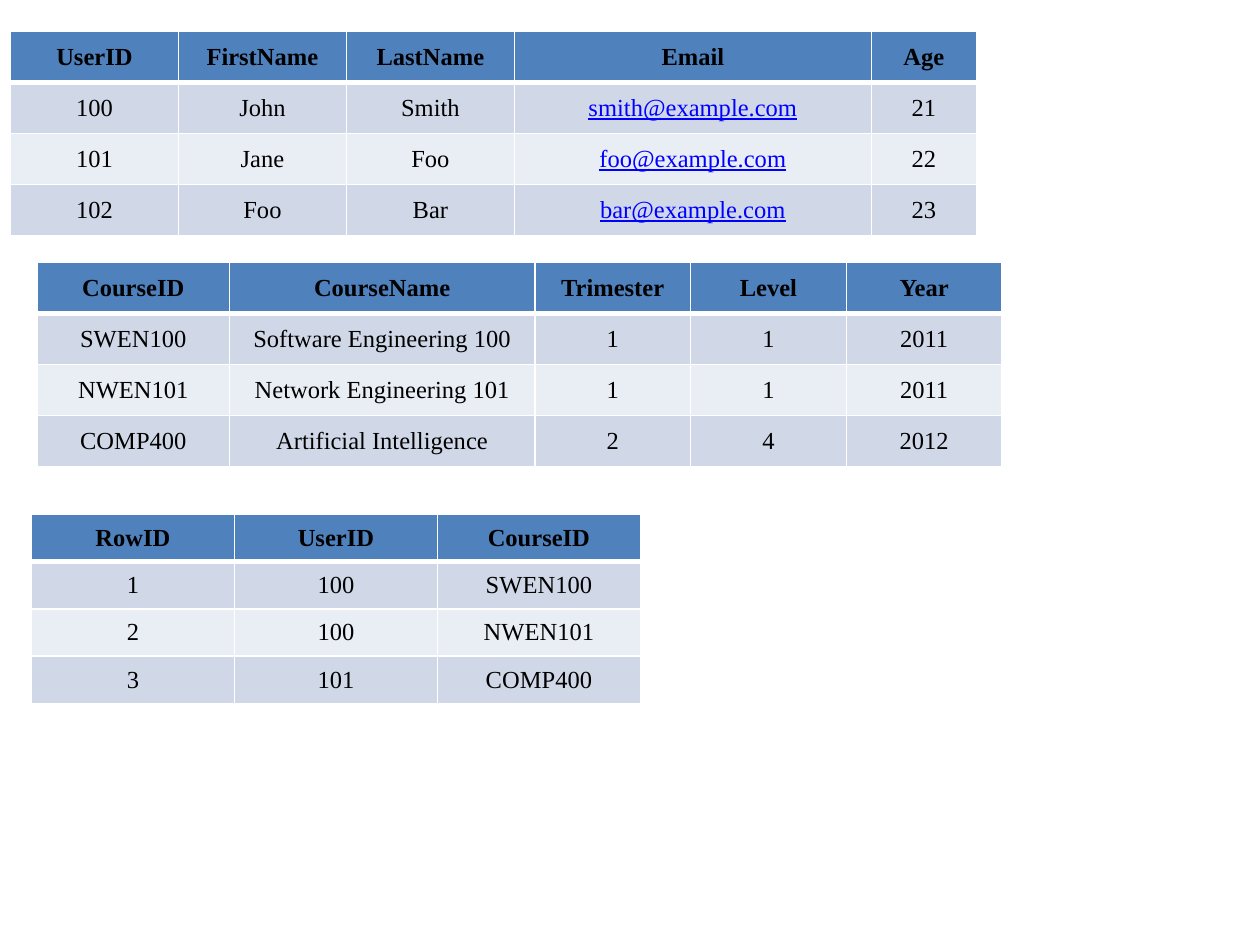
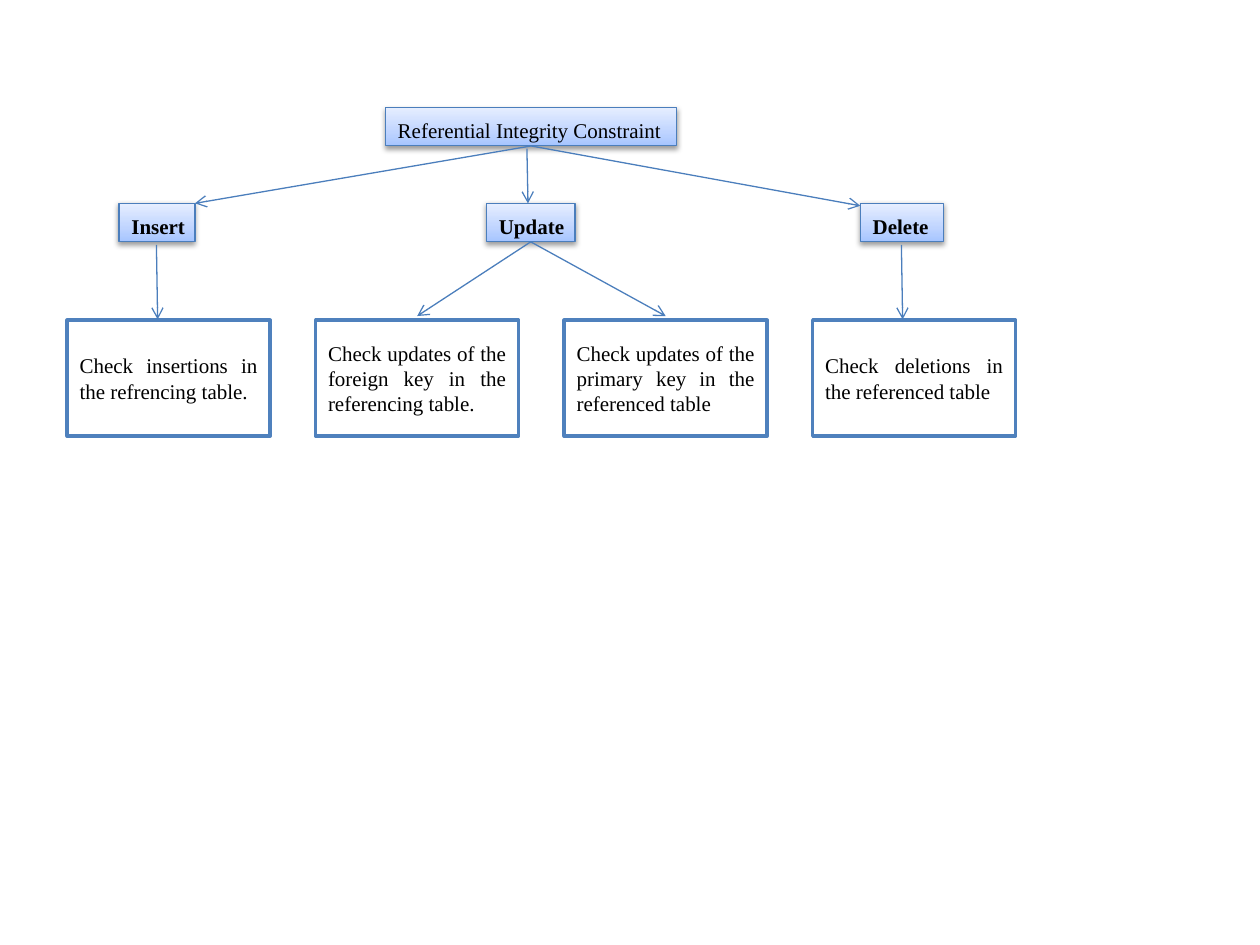
from lxml import etree
from pptx import Presentation
from pptx.dml.color import RGBColor
from pptx.enum.shapes import MSO_CONNECTOR, MSO_SHAPE
from pptx.enum.text import MSO_ANCHOR, PP_ALIGN
from pptx.oxml.ns import qn
from pptx.util import Pt

RECTANGLE = MSO_SHAPE.RECTANGLE
STRAIGHT = MSO_CONNECTOR.STRAIGHT
TOP, MIDDLE = MSO_ANCHOR.TOP, MSO_ANCHOR.MIDDLE
LEFT, CENTER, JUSTIFY = PP_ALIGN.LEFT, PP_ALIGN.CENTER, PP_ALIGN.JUSTIFY

# Shared style
FONT = "Times New Roman"
BLACK = RGBColor(0x00, 0x00, 0x00)
WHITE = RGBColor(0xFF, 0xFF, 0xFF)
ACCENT = RGBColor(0x4F, 0x81, 0xBD)
ACCENT_DARK = RGBColor(0x4B, 0x7E, 0xBC)
BAND_DARK = RGBColor(0xD0, 0xD8, 0xE8)
BAND_LIGHT = RGBColor(0xE9, 0xED, 0xF4)
EMAIL_BLUE = RGBColor(0x00, 0x00, 0xFF)
GRADIENT = [(0, RGBColor(0xA4, 0xC4, 0xFF)), (35, RGBColor(0xBF, 0xD4, 0xFF)),
            (100, RGBColor(0xE6, 0xEE, 0xFF))]

# Slide 1: (left, top), row height, column widths, rows with the header first
TABLES = [
    ((6, 18), 29.16, [96, 96, 96, 204, 60], [
        ("UserID", "FirstName", "LastName", "Email", "Age"),
        ("100", "John", "Smith", "smith@example.com", "21"),
        ("101", "Jane", "Foo", "foo@example.com", "22"),
        ("102", "Foo", "Bar", "bar@example.com", "23")]),
    ((21.2, 150), 29.16, [110, 174.5, 89, 89, 89], [
        ("CourseID", "CourseName", "Trimester", "Level", "Year"),
        ("SWEN100", "Software Engineering 100", "1", "1", "2011"),
        ("NWEN101", "Network Engineering 101", "1", "1", "2011"),
        ("COMP400", "Artificial Intelligence", "2", "4", "2012")]),
    ((18, 294), 27, [116, 116, 116], [
        ("RowID", "UserID", "CourseID"),
        ("1", "100", "SWEN100"),
        ("2", "100", "NWEN101"),
        ("3", "101", "COMP400")]),
]

# Slide 2: headings as (text, left, top, width), then the checks below them
ROOT = ("Referential Integrity Constraint", 220.2, 61.4, 166.6)
OPERATION_TOP = 116.2
OPERATIONS = [("Insert", 68, OPERATION_TOP, 43.4),
              ("Update", 278, OPERATION_TOP, 50.6),
              ("Delete", 491.6, OPERATION_TOP, 47.6)]
HEADING_HEIGHT = 22
CHECKS = ["Check insertions in the refrencing table.",
          "Check updates of the foreign key in the referencing table.",
          "Check updates of the primary key in the referenced table",
          "Check deletions in the referenced table"]
CHECK_LEFT, CHECK_TOP, CHECK_PITCH = 38.4, 183, 142
CHECK_WIDTH, CHECK_HEIGHT = 116, 66.2


def write(frame, text, size, align, color=BLACK, bold=False, underline=False):
    paragraph = frame.paragraphs[0]
    paragraph.text = text
    paragraph.alignment = align
    font = paragraph.font
    font.name, font.size, font.bold = FONT, Pt(size), bold
    font.color.rgb = color
    if underline:
        font.underline = True
    return paragraph


def add_color(parent, color):
    return etree.SubElement(parent, qn("a:srgbClr"), val=str(color))


def add_borders(cell, row):
    """White rules, heavier between the header and the body."""
    widths = {"L": 1, "R": 1, "T": 3 if row == 1 else 1, "B": 3 if row == 0 else 1}
    properties = cell._tc.get_or_add_tcPr()
    for side, width in widths.items():
        rule = etree.SubElement(properties, qn(f"a:ln{side}"), w=str(Pt(width)))
        add_color(etree.SubElement(rule, qn("a:solidFill")), WHITE)


def add_data_table(slide, place, row_height, widths, rows):
    left, top = place
    table = slide.shapes.add_table(
        len(rows), len(widths), Pt(left), Pt(top),
        Pt(sum(widths)), Pt(row_height * len(rows))).table
    for column, width in zip(table.columns, widths):
        column.width = Pt(width)
    for r, values in enumerate(rows):
        table.rows[r].height = Pt(row_height)
        band = ACCENT if r == 0 else BAND_DARK if r % 2 else BAND_LIGHT
        for c, value in enumerate(values):
            cell = table.cell(r, c)
            add_borders(cell, r)
            cell.fill.solid()
            cell.fill.fore_color.rgb = band
            cell.vertical_anchor = MIDDLE
            is_email = "@" in value
            write(cell.text_frame, value, 14, CENTER,
                  EMAIL_BLUE if is_email else BLACK, r == 0, is_email)


def add_box(slide, left, top, width, height, line_color, line_width):
    box = slide.shapes.add_shape(RECTANGLE, Pt(left), Pt(top), Pt(width), Pt(height))
    box.shadow.inherit = False
    box.line.color.rgb = line_color
    box.line.width = Pt(line_width)
    return box


def add_heading(slide, text, left, top, width, bold):
    box = add_box(slide, left, top, width, HEADING_HEIGHT, ACCENT_DARK, 0.75)
    # Gradient running upwards
    box.fill.gradient()
    box.fill.gradient_angle = 90
    properties = box._element.spPr
    stops = properties.find(f".//{qn('a:gsLst')}")
    for stop in list(stops):
        stops.remove(stop)
    for percent, color in GRADIENT:
        add_color(etree.SubElement(stops, qn("a:gs"), pos=str(percent * 1000)), color)
    # Soft shadow below
    shadow = etree.SubElement(
        properties.find(qn("a:effectLst")), qn("a:outerShdw"), blurRad=str(Pt(3.1)),
        dist=str(Pt(1.6)), dir="5400000", rotWithShape="0")
    etree.SubElement(add_color(shadow, BLACK), qn("a:alpha"), val="38000")
    frame = box.text_frame
    frame.word_wrap = False
    frame.vertical_anchor = TOP
    write(frame, text, 12, LEFT, bold=bold).line_spacing = 1.15


def add_check(slide, text, left):
    box = add_box(slide, left, CHECK_TOP, CHECK_WIDTH, CHECK_HEIGHT, ACCENT, 2)
    box.fill.solid()
    box.fill.fore_color.rgb = WHITE
    box.text_frame.word_wrap = True
    box.text_frame.vertical_anchor = MIDDLE
    write(box.text_frame, text, 12, JUSTIFY)


def add_arrow(slide, start, end):
    arrow = slide.shapes.add_connector(STRAIGHT, *map(Pt, start + end))
    arrow.line.color.rgb = ACCENT_DARK
    arrow.line.width = Pt(0.75)
    properties = arrow._element.spPr
    etree.SubElement(properties.find(qn("a:ln")), qn("a:tailEnd"), type="arrow")
    etree.SubElement(properties, qn("a:effectLst"))


def bottom_center(heading):
    _, left, top, width = heading
    return left + width / 2, top + HEADING_HEIGHT


def build_tables(slide):
    for table in TABLES:
        add_data_table(slide, *table)


def build_constraint_tree(slide):
    add_heading(slide, *ROOT, bold=False)
    for operation in OPERATIONS:
        add_heading(slide, *operation, bold=True)
    check_lefts = [CHECK_LEFT + i * CHECK_PITCH for i in range(len(CHECKS))]
    for text, left in zip(CHECKS, check_lefts):
        add_check(slide, text, left)

    # Root to operations
    insert, update, delete = OPERATIONS
    root_x, root_bottom = bottom_center(ROOT)
    add_arrow(slide, (root_x, root_bottom), (insert[1] + insert[3], OPERATION_TOP))
    add_arrow(slide, (root_x - 2.4, root_bottom + 1.6), (root_x - 1.8, OPERATION_TOP))
    add_arrow(slide, (root_x, root_bottom), (delete[1], OPERATION_TOP + 1.4))

    # Operations to checks
    for operation in (insert, delete):
        x, bottom = bottom_center(operation)
        add_arrow(slide, (x - 0.3, bottom + 1.8), (x + 0.4, CHECK_TOP - 0.5))
    for left in check_lefts[1:3]:
        add_arrow(slide, bottom_center(update), (left + CHECK_WIDTH / 2, CHECK_TOP - 2.4))


def main():
    deck = Presentation()
    deck.slide_width, deck.slide_height = Pt(720), Pt(540)
    blank = deck.slide_layouts[6]
    for build in (build_tables, build_constraint_tree):
        build(deck.slides.add_slide(blank))
    deck.save("out.pptx")


if __name__ == "__main__":
    main()
